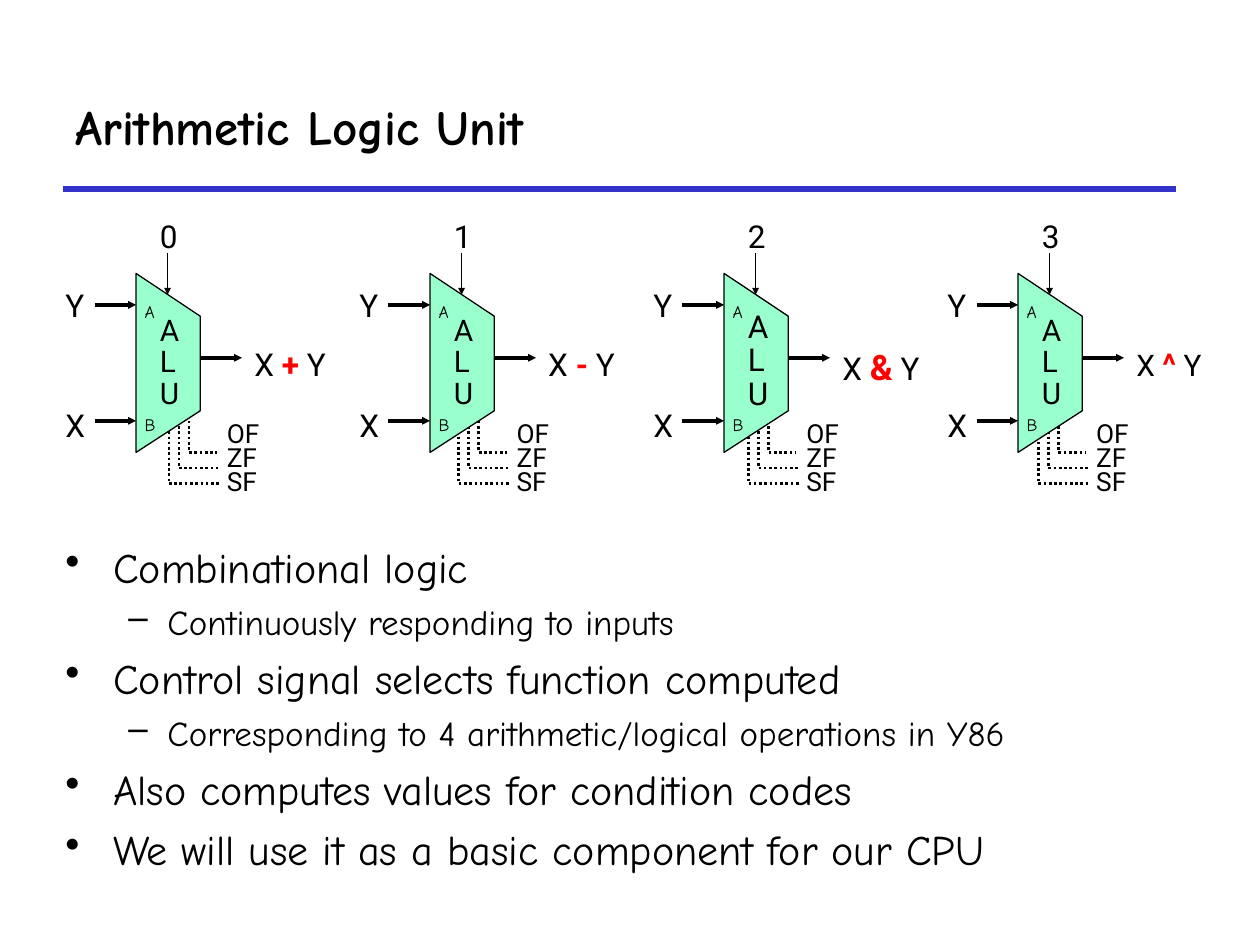
"""Build a slide that shows one ALU computing four functions."""
import dataclasses
import typing

import lxml.etree
import pptx
import pptx.dml.color
import pptx.enum.dml
import pptx.enum.shapes
import pptx.enum.text
import pptx.oxml.ns
import pptx.util

Inches = pptx.util.Inches
Pt = pptx.util.Pt
qn = pptx.oxml.ns.qn
RGBColor = pptx.dml.color.RGBColor
BLACK = RGBColor(0x00, 0x00, 0x00)
RED = RGBColor(0xFF, 0x00, 0x00)
BLUE = RGBColor(0x33, 0x33, 0xCC)
MINT = RGBColor(0x99, 0xFF, 0xCC)
SANS = "Roboto"
COMIC = "Comic Neue"
FLAGS = (("OF", 0.40, 1.72), ("ZF", 0.36, 1.75), ("SF", 0.38, 1.75))

Point = tuple[float, float]


@dataclasses.dataclass(frozen=True)
class Run:
    text: str
    size: float
    font: str = SANS
    color: RGBColor = BLACK
    bold: bool = False


@dataclasses.dataclass(frozen=True)
class Box:
    left: float
    top: float
    width: float
    height: float
    inset: float = 0.1
    wrap: bool = False


@dataclasses.dataclass(frozen=True)
class Unit:
    code: str
    sign: str
    width: float
    height: float = 0.41
    size: float = 18
    mark: float = 18
    name: float = 17


@dataclasses.dataclass(frozen=True)
class Item:
    text: str
    sub: bool = False


UNITS = (
    Unit("0", "+", 0.86),
    Unit("1", "-", 0.77),
    Unit("2", "&", 0.89, height=0.44, mark=20, name=18),
    Unit("3", "^", 0.83, size=17),
)
ITEMS = (
    Item("Combinational logic"),
    Item("Continuously responding to inputs", True),
    Item("Control signal selects function computed"),
    Item("Corresponding to 4 arithmetic/logical operations in Y86", True),
    Item("Also computes values for condition codes"),
    Item("We will use it as a basic component for our CPU"),
)


def add_run(para: typing.Any, spec: Run) -> None:
    run = para.add_run()
    run.text = spec.text
    run.font.size = Pt(spec.size)
    run.font.name = spec.font
    run.font.bold = spec.bold
    run.font.color.rgb = spec.color


def add_box(slide: typing.Any, box: Box) -> typing.Any:
    shape = slide.shapes.add_textbox(
        Inches(box.left), Inches(box.top), Inches(box.width), Inches(box.height))
    frame = shape.text_frame
    frame.word_wrap = box.wrap
    if not box.wrap:
        frame.auto_size = pptx.enum.text.MSO_AUTO_SIZE.SHAPE_TO_FIT_TEXT
    frame.margin_left = frame.margin_right = Inches(box.inset)
    frame.margin_top = frame.margin_bottom = Inches(0.05)
    return frame


def add_label(slide: typing.Any, box: Box, *runs: Run) -> None:
    para = add_box(slide, box).paragraphs[0]
    for run in runs:
        add_run(para, run)


def add_line(slide: typing.Any, start: Point, end: Point, width: float,
             color: RGBColor = BLACK, arrow: bool = True) -> None:
    line = slide.shapes.add_connector(
        pptx.enum.shapes.MSO_CONNECTOR.STRAIGHT,
        *(Inches(v) for v in start + end))
    line.line.width = Pt(width)
    line.line.color.rgb = color
    props = line._element.spPr
    if arrow:
        lxml.etree.SubElement(props.find(qn("a:ln")), qn("a:tailEnd"),
                              type="triangle", w="sm", len="sm")
    lxml.etree.SubElement(props, qn("a:effectLst"))


def add_path(slide: typing.Any, points: list[Point], width: float,
             fill: RGBColor | None = None) -> None:
    spots = [(Inches(x), Inches(y)) for x, y in points]
    pen = slide.shapes.build_freeform(*spots[0])
    pen.add_line_segments(spots[1:], close=fill is not None)
    shape = pen.convert_to_shape()
    shape.shadow.inherit = False
    shape.line.color.rgb = BLACK
    shape.line.width = Pt(width)
    if fill is None:
        shape.fill.background()
        shape.line.dash_style = pptx.enum.dml.MSO_LINE.ROUND_DOT
    else:
        shape.fill.solid()
        shape.fill.fore_color.rgb = fill


def add_flags(slide: typing.Any, dx: float) -> None:
    for row, (name, width, end) in enumerate(FLAGS):
        x, y = dx + 1.5 - 0.08 * row, 3.09 + 0.125 * row
        add_path(slide, [(x, y), (x, y + 0.5), (dx + end, y + 0.5)], 1.5)
        add_label(slide, Box(dx + 1.75, 3.26 + 0.19 * row, width, 0.36, 0.05),
                  Run(name, 15))


def add_unit(slide: typing.Any, unit: Unit, dx: float) -> None:
    left, right = dx + 1.08, dx + 1.59
    add_line(slide, (dx + 1.33, 2.01), (dx + 1.33, 2.34), 0.75)
    add_path(slide, [(left, 2.17), (right, 2.51), (right, 3.26), (left, 3.59)],
             0.75, MINT)
    for y in (2.42, 3.34):
        add_line(slide, (dx + 0.75, y), (left, y), 2.25)
    add_line(slide, (right, 2.84), (dx + 1.92, 2.84), 2.25)

    top = 2.5 if unit.name == 17 else 2.47
    frame = add_box(slide, Box(dx + 1.17, top, 0.42, 3.33 - top, wrap=True))
    for row, char in enumerate("ALU"):
        para = frame.add_paragraph() if row else frame.paragraphs[0]
        para.line_spacing = 0.7
        para.space_before = Pt(0.22 * unit.name if row else 0)
        add_run(para, Run(char, unit.name))

    add_label(slide, Box(dx + 0.42, 2.22, 0.38, 0.41), Run("Y", 18))
    add_label(slide, Box(dx + 0.42, 3.17, 0.39, 0.41), Run("X", 18))
    add_label(slide, Box(dx + 1.92, 2.69, unit.width, unit.height),
              Run("X ", unit.size), Run(unit.sign, unit.mark, SANS, RED, True),
              Run(" Y", unit.size))
    add_label(slide, Box(dx + 1.17, 1.67, 0.35, 0.41), Run(unit.code, 18))
    add_label(slide, Box(dx + 1.05, 2.34, 0.32, 0.27), Run("A", 10, COMIC))
    add_label(slide, Box(dx + 1.05, 3.24, 0.30, 0.27), Run("B", 10, COMIC))


def add_list(slide: typing.Any) -> None:
    frame = add_box(slide, Box(0.42, 4.17, 8.64, 3, wrap=True))
    for row, item in enumerate(ITEMS):
        para = frame.add_paragraph() if row else frame.paragraphs[0]
        para.level = int(item.sub)
        para.line_spacing = 1.2
        props = para._p.get_or_add_pPr()
        left, hang, mark = (0.81, 0.31, "–") if item.sub else (0.38, 0.38, "•")
        props.set("marL", str(Inches(left)))
        props.set("indent", str(-Inches(hang)))
        lxml.etree.SubElement(props, qn("a:buChar"), char=mark)
        add_run(para, Run(item.text, 20 if item.sub else 24, COMIC))


def main() -> None:
    deck = pptx.Presentation()
    deck.slide_width, deck.slide_height = Inches(10), Inches(7.5)
    slide = deck.slides.add_slide(deck.slide_layouts[6])
    add_line(slide, (0.5, 1.5), (9.33, 1.5), 3, BLUE, arrow=False)
    title = add_box(slide, Box(0.5, 0.5, 8.83, 1, wrap=True))
    title.vertical_anchor = pptx.enum.text.MSO_ANCHOR.MIDDLE
    add_run(title.paragraphs[0],
            Run("Arithmetic Logic Unit", 28, COMIC, bold=True))
    add_list(slide)
    for col, unit in enumerate(UNITS):
        add_flags(slide, 2.3 * col)
        add_unit(slide, unit, 7 / 3 * col)
    deck.save("out.pptx")


if __name__ == "__main__":
    main()
